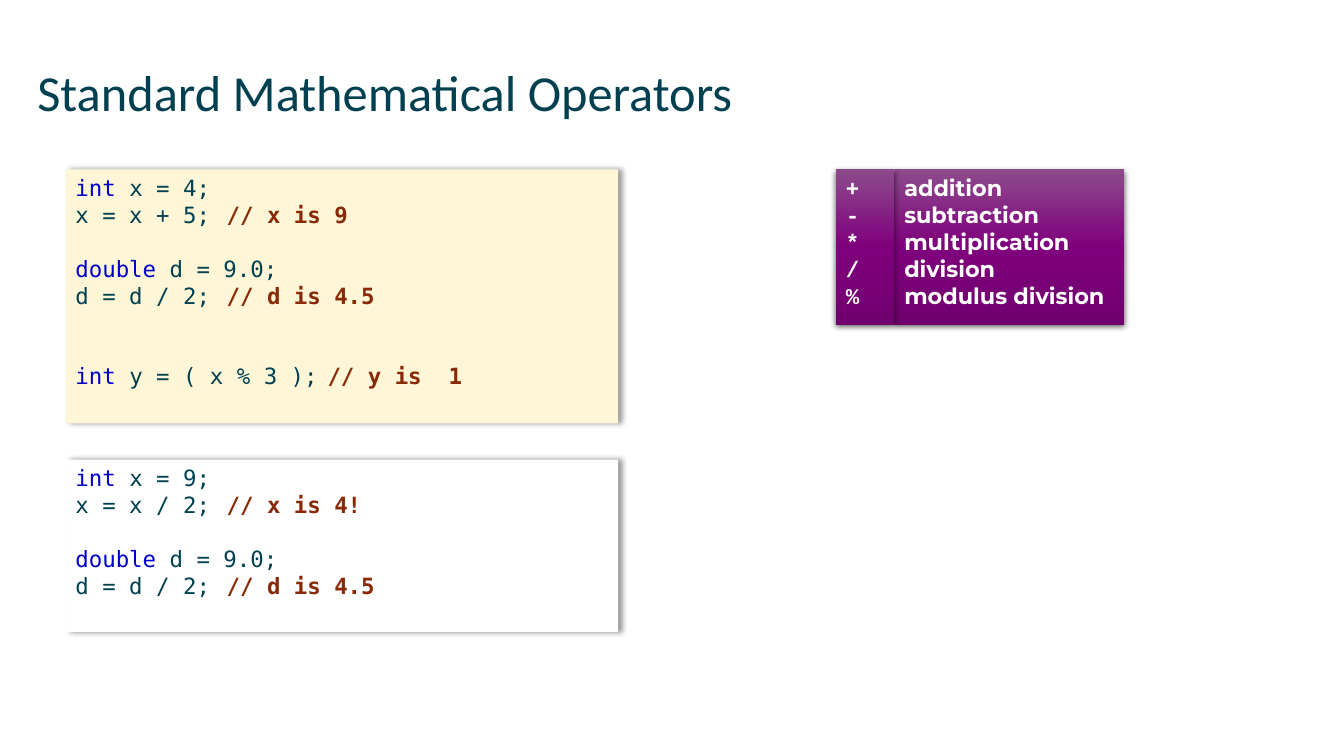
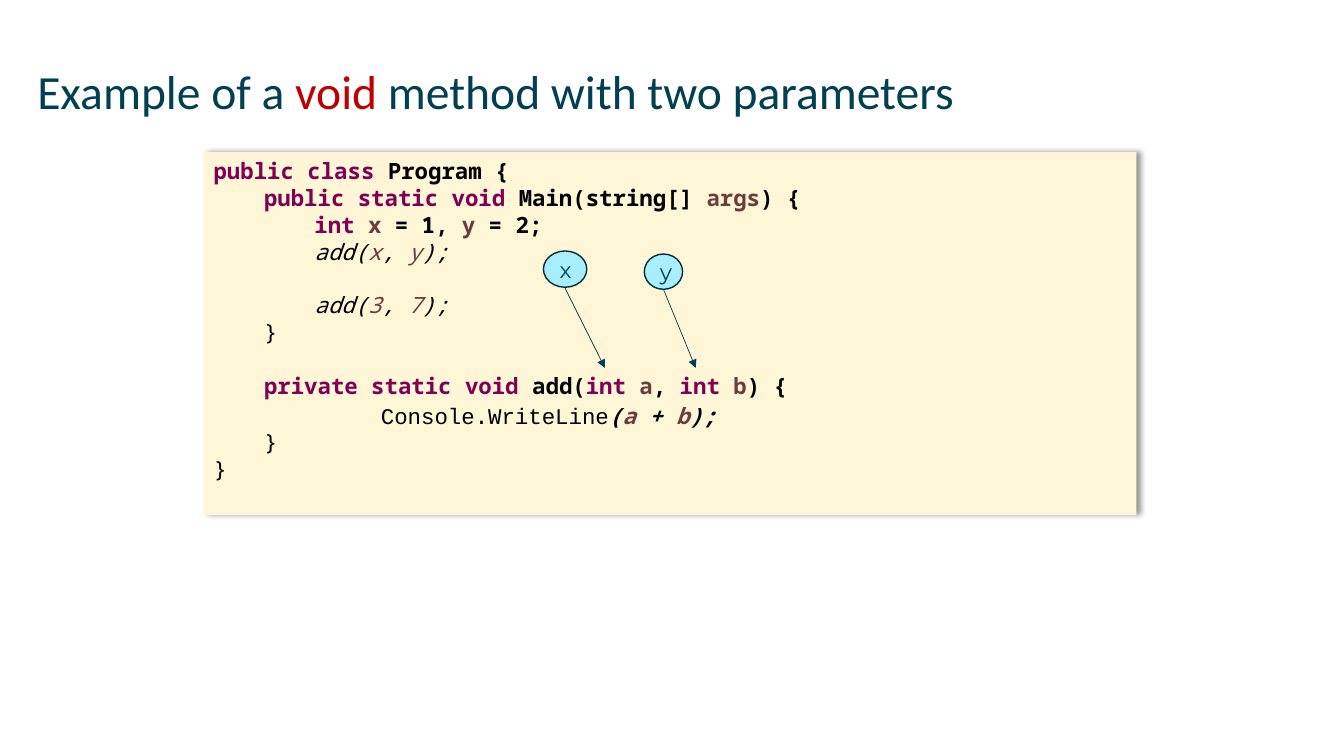
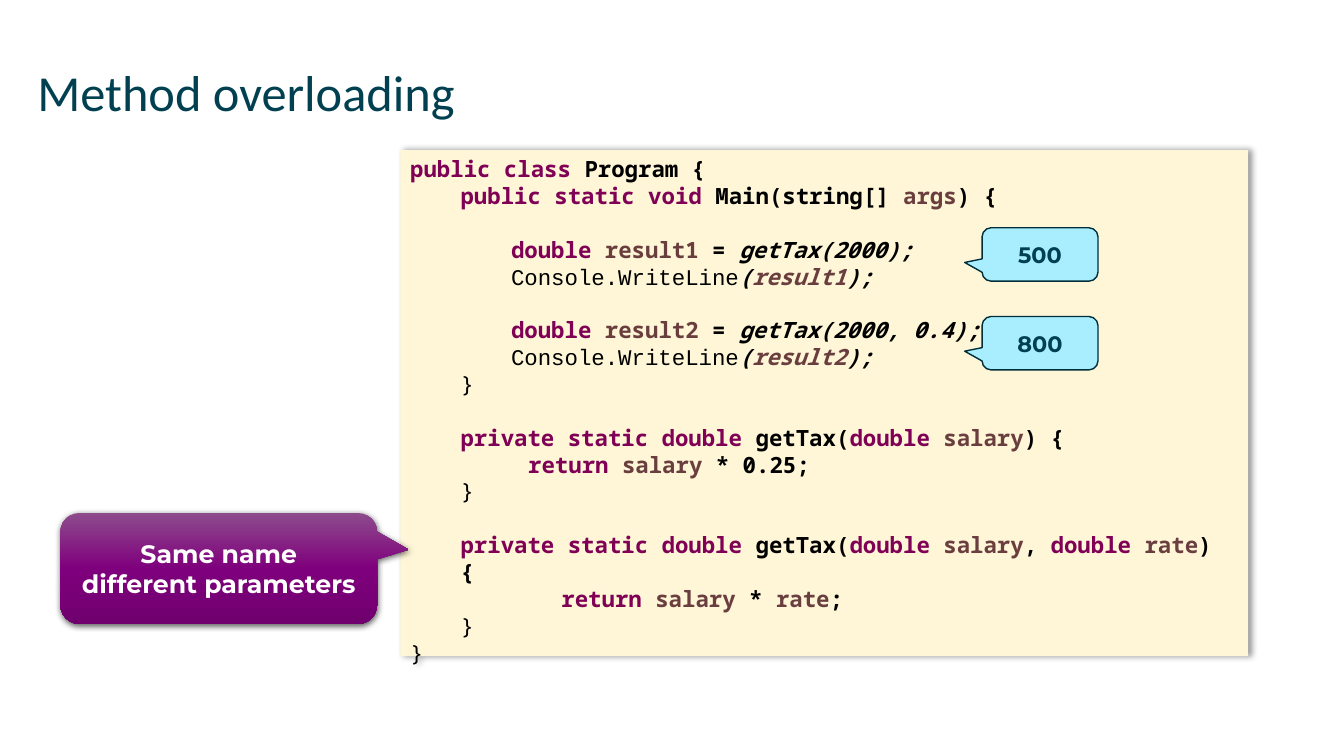
from dataclasses import dataclass

from lxml import etree
from pptx import Presentation
from pptx.dml.color import RGBColor
from pptx.enum.shapes import MSO_CONNECTOR, MSO_SHAPE
from pptx.enum.text import MSO_ANCHOR, PP_ALIGN
from pptx.oxml.ns import qn
from pptx.util import Pt

PX = 9144
RECT = MSO_SHAPE.RECTANGLE
OVAL = MSO_SHAPE.OVAL
CALLOUT = MSO_SHAPE.ROUNDED_RECTANGULAR_CALLOUT
STRAIGHT = MSO_CONNECTOR.STRAIGHT
TOP, MIDDLE = MSO_ANCHOR.TOP, MSO_ANCHOR.MIDDLE
LEFT, CENTER = PP_ALIGN.LEFT, PP_ALIGN.CENTER

TEAL = RGBColor(0x00, 0x40, 0x50)
DARK_TEAL = RGBColor(0x00, 0x2F, 0x3B)
SKY = RGBColor(0xA9, 0xEE, 0xFF)
CREAM = RGBColor(0xFE, 0xF6, 0xD7)
WHITE = RGBColor(0xFF, 0xFF, 0xFF)
BLACK = RGBColor(0x00, 0x00, 0x00)
BLUE = RGBColor(0x00, 0x00, 0xC8)
RUST = RGBColor(0x88, 0x2A, 0x08)
RED = RGBColor(0xC0, 0x00, 0x00)
PLUM = RGBColor(0x7F, 0x00, 0x55)
BROWN = RGBColor(0x6A, 0x3E, 0x3E)
PURPLES = (RGBColor(0x8D, 0x4B, 0x8C), RGBColor(0x7F, 0x00, 0x7D),
           RGBColor(0x71, 0x00, 0x6F))

LINE = 19.2
COMMENT_TAB = 375
INDENT = 50


@dataclass(frozen=True)
class Style:
    color: RGBColor
    bold: bool = False
    italic: bool = False
    font: str = "Noto Sans Mono"
    size: int = 16


TYPE = Style(BLUE, font="DejaVu Sans Mono")
BODY = Style(TEAL, font="DejaVu Sans Mono")
NOTE = Style(RUST, True, font="DejaVu Sans Mono")
KEY = Style(PLUM, True)
VAR = Style(BROWN, True)
TXT = Style(BLACK, True)
PLAIN = Style(BLACK)
CALL = Style(BLACK, italic=True)
ARG = Style(BROWN, italic=True)
BOLD_CALL = Style(BLACK, True, True)
BOLD_ARG = Style(BROWN, True, True)
API = Style(BLACK, font="Courier New")
SYMBOL = Style(WHITE, True, font="Courier New")
NAME = Style(WHITE, True, font="Montserrat")
REMARK = Style(WHITE, True, font="Montserrat", size=18)
BUBBLE = Style(TEAL, font="Montserrat")
RESULT = Style(TEAL, True, font="Montserrat")


@dataclass(frozen=True)
class Line:
    runs: tuple
    indent: int = 0
    before: float = 0


def line(*runs, indent=0, before=0):
    return Line(runs, indent, before)


def add_runs(p, runs):
    for text, style in runs:
        r = p.add_run()
        r.text = text
        r.font.name = style.font
        r.font.size = Pt(style.size)
        r.font.bold = style.bold
        r.font.italic = style.italic
        r.font.color.rgb = style.color


def fill_purple(sp):
    sp.fill.gradient()
    sp.fill.gradient_angle = 270
    stops = sp._element.spPr.find(qn("a:gradFill")).find(qn("a:gsLst"))
    for old in list(stops):
        stops.remove(old)
    for i, color in enumerate(PURPLES):
        gs = etree.SubElement(stops, qn("a:gs"), pos=str(i * 50000))
        etree.SubElement(gs, qn("a:srgbClr"), val=str(color))


def add_shadow(sp, alpha, blur, dist, angle):
    effects = sp._element.spPr.find(qn("a:effectLst"))
    shadow = etree.SubElement(
        effects, qn("a:outerShdw"), blurRad=str(Pt(blur)), dist=str(Pt(dist)),
        dir=str(angle * 60000), algn="ctr", rotWithShape="0")
    color = etree.SubElement(shadow, qn("a:srgbClr"), val=str(BLACK))
    etree.SubElement(color, qn("a:alpha"), val=str(alpha * 1000))


def add_box(s, kind, box, anchor=TOP):
    sp = s.shapes.add_shape(kind, *(n * PX for n in box))
    sp.shadow.inherit = False
    sp.line.fill.background()
    sp.text_frame.word_wrap = True
    sp.text_frame.vertical_anchor = anchor
    return sp


def write_lines(sp, lines, align=LEFT, pitch=None):
    tf = sp.text_frame
    for i, item in enumerate(lines):
        p = tf.add_paragraph() if i else tf.paragraphs[0]
        p.alignment = align
        if pitch:
            p.line_spacing = Pt(pitch)
        p.space_before = Pt(item.before)
        pPr = p._p.get_or_add_pPr()
        pPr.set("marL", str(item.indent * PX))
        pPr.set("indent", "0")
        if any("\t" in text for text, _ in item.runs):
            tabs = etree.SubElement(pPr, qn("a:tabLst"))
            etree.SubElement(tabs, qn("a:tab"), pos=str(COMMENT_TAB * PX), algn="l")
        add_runs(p, item.runs)


def code_box(s, box, lines, fill=CREAM):
    sp = add_box(s, RECT, box)
    sp.fill.solid()
    sp.fill.fore_color.rgb = fill
    add_shadow(sp, 40, 4, 3, 0)
    write_lines(sp, lines, pitch=LINE)


def purple_box(s, kind, box, anchor=TOP):
    sp = add_box(s, kind, box, anchor)
    fill_purple(sp)
    add_shadow(sp, 63, 4.5, 1.5, 90)
    return sp


def purple_list(s, box, words, style):
    sp = purple_box(s, RECT, box)
    sp.text_frame.word_wrap = False
    write_lines(sp, [line((word, style)) for word in words], pitch=LINE)


def sky_label(s, kind, box, text, style):
    sp = add_box(s, kind, box, MIDDLE)
    sp.fill.solid()
    sp.fill.fore_color.rgb = SKY
    sp.line.color.rgb = DARK_TEAL
    sp.line.width = Pt(1)
    write_lines(sp, [line((text, style))], CENTER)
    return sp


def point_callout(sp, x, y):
    for i, value in enumerate((x, y, 0.17)):
        sp.adjustments[i] = value


def add_arrow(s, x1, y1, x2, y2):
    c = s.shapes.add_connector(STRAIGHT, x1 * PX, y1 * PX, x2 * PX, y2 * PX)
    c.line.color.rgb = TEAL
    c.line.width = Pt(0.5)
    etree.SubElement(c.line._get_or_add_ln(), qn("a:tailEnd"), type="triangle")
    etree.SubElement(c._element.spPr, qn("a:effectLst"))


def style_layout(layout):
    title = layout.placeholders[0]
    title.left, title.top, title.width, title.height = (
        n * PX for n in (37, 61, 1260, 88))
    tf = title.text_frame
    tf.vertical_anchor = TOP
    tf.margin_left = tf.margin_right = tf.margin_top = tf.margin_bottom = 0


def add_slide(prs, *parts, size=36):
    s = prs.slides.add_slide(prs.slide_layouts[5])
    p = s.shapes.title.text_frame.paragraphs[0]
    p.alignment = LEFT
    add_runs(p, [(text, Style(color, font="Calibri", size=size))
                 for text, color in parts])
    return s


def division_lines(start, result):
    return [
        line(("int ", TYPE), (f"x = {start};", BODY)),
        line((f"x = x {'+ 5' if start == 4 else '/ 2'};\t", BODY),
             (f"// x is {result}", NOTE)),
        line(("double", TYPE), (" d = 9.0;", BODY), before=LINE),
        line(("d = d / 2;\t", BODY), ("// d is 4.5", NOTE)),
    ]


def program_start():
    return [
        line(("public class", KEY), (" Program {", TXT)),
        line(("public static void", KEY), (" Main(string[] ", TXT),
             ("args", VAR), (") {", TXT), indent=INDENT),
    ]


def closing(level):
    return line(("}", PLAIN), indent=level * INDENT)


def add_call(first, second, before=0):
    return line(("add(", CALL), (first, ARG), (", ", CALL), (second, ARG),
                (");", CALL), indent=2 * INDENT, before=before)


def tax_call(result, arguments):
    return [
        line(("double ", KEY), (result, VAR), (" = ", TXT),
             (f"getTax({arguments});", BOLD_CALL), indent=2 * INDENT, before=LINE),
        line(("Console.WriteLine", API), ("(", BOLD_CALL), (result, BOLD_ARG),
             (");", BOLD_CALL), indent=2 * INDENT),
    ]


def operators_slide(prs):
    s = add_slide(prs, ("Standard Mathematical Operators", TEAL))
    purple_list(s, (887, 168, 228, 154),
                ("addition", "subtraction", "multiplication", "division",
                 "modulus division"), NAME)
    purple_list(s, (829, 168, 58, 154), "+-*/%", SYMBOL)
    modulus = line(("int ", TYPE), ("y = ( x % 3 );\t", BODY),
                   ("// y is  1", NOTE), before=2 * LINE)
    code_box(s, (65, 168, 548, 252), division_lines(4, "9") + [modulus])
    code_box(s, (65, 456, 548, 171), division_lines(9, "4!"), WHITE)


def parameters_slide(prs):
    s = add_slide(prs, ("Example of a ", TEAL), ("void ", RED),
                  ("method with two parameters", TEAL), size=34)
    code_box(s, (202, 151, 925, 360), program_start() + [
        line(("int ", KEY), ("x", VAR), (" = 1, ", TXT), ("y", VAR),
             (" = 2;", TXT), indent=2 * INDENT),
        add_call("x", "y"),
        add_call("3", "7", before=LINE),
        closing(1),
        line(("private static void", KEY), (" add(", TXT), ("int ", KEY),
             ("a", VAR), (", ", TXT), ("int ", KEY), ("b", VAR), (") {", TXT),
             indent=INDENT, before=LINE),
        line(("Console.WriteLine", API), ("(", BOLD_CALL), ("a", BOLD_ARG),
             (" + ", BOLD_CALL), ("b", BOLD_ARG), (");", BOLD_CALL),
             indent=166, before=2),
        closing(1),
        closing(0),
    ])
    sky_label(s, OVAL, (539, 249, 43, 36), "x", BUBBLE)
    sky_label(s, OVAL, (639, 252, 38, 35), "y", BUBBLE)
    add_arrow(s, 560, 285, 600, 365)
    add_arrow(s, 658, 287, 690, 365)


def overloading_slide(prs):
    s = add_slide(prs, ("Method overloading", TEAL))
    signature = (("private static double ", KEY), ("getTax(", TXT),
                 ("double ", KEY), ("salary", VAR))
    code_box(s, (397, 149, 841, 502), [
        *program_start(),
        *tax_call("result1", "2000"),
        *tax_call("result2", "2000, 0.4"),
        closing(1),
        line(*signature, (") {", TXT), indent=INDENT, before=LINE),
        line(("return ", KEY), ("salary", VAR), (" * 0.25;", TXT), indent=117),
        closing(1),
        line(*signature, (", ", TXT), ("double ", KEY), ("rate", VAR),
             (") {", TXT), indent=INDENT, before=LINE),
        line(("return ", KEY), ("salary", VAR), (" * ", TXT), ("rate", VAR),
             (";", TXT), indent=3 * INDENT),
        closing(1),
        closing(0),
    ])
    for i, result in enumerate(("500", "800")):
        label = sky_label(s, CALLOUT, (974, 226 + 88 * i, 115, 53), result, RESULT)
        point_callout(label, -0.65, 0.15)
    remark = purple_box(s, CALLOUT, (60, 509, 314, 110), MIDDLE)
    point_callout(remark, 0.6, -0.17)
    write_lines(remark, [line((text, REMARK)) for text in
                         ("Same name", "different parameters")], CENTER)


def main():
    prs = Presentation()
    prs.slide_width, prs.slide_height = 1333 * PX, 750 * PX
    style_layout(prs.slide_layouts[5])
    operators_slide(prs)
    parameters_slide(prs)
    overloading_slide(prs)
    prs.save("out.pptx")


if __name__ == "__main__":
    main()
